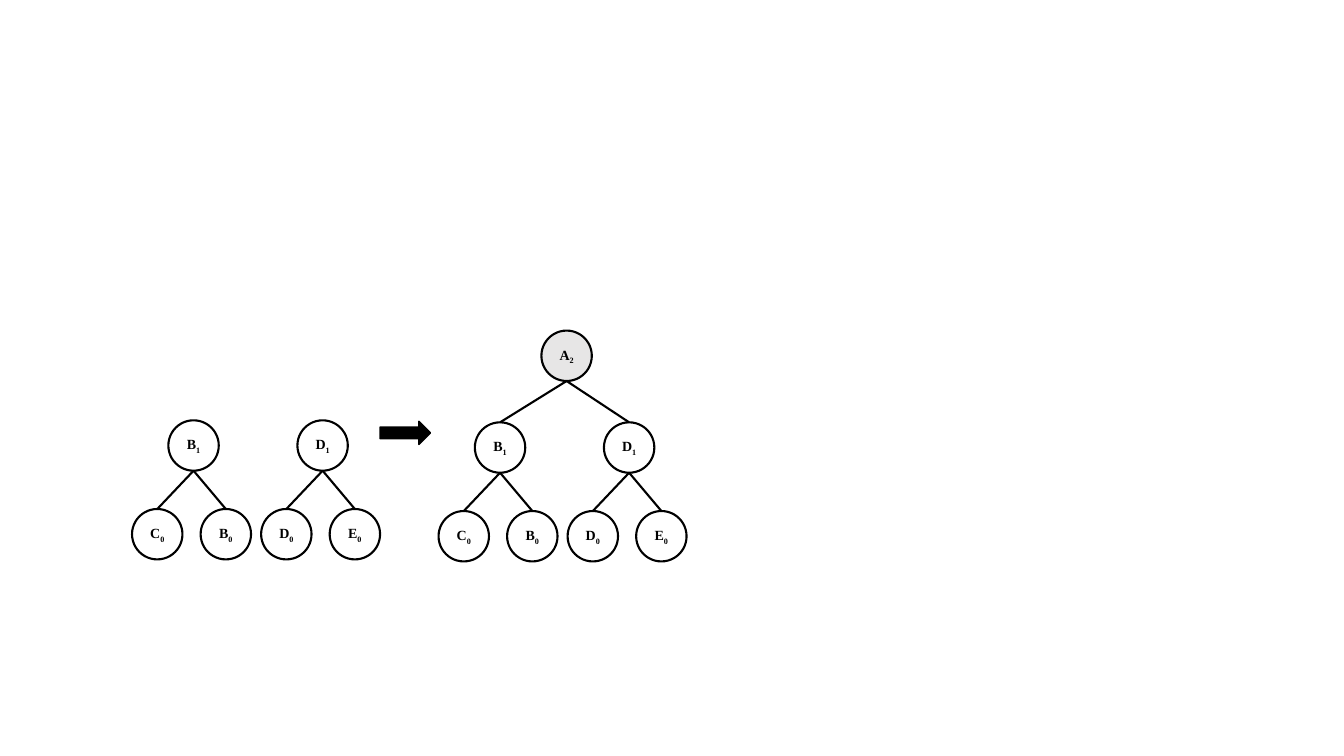
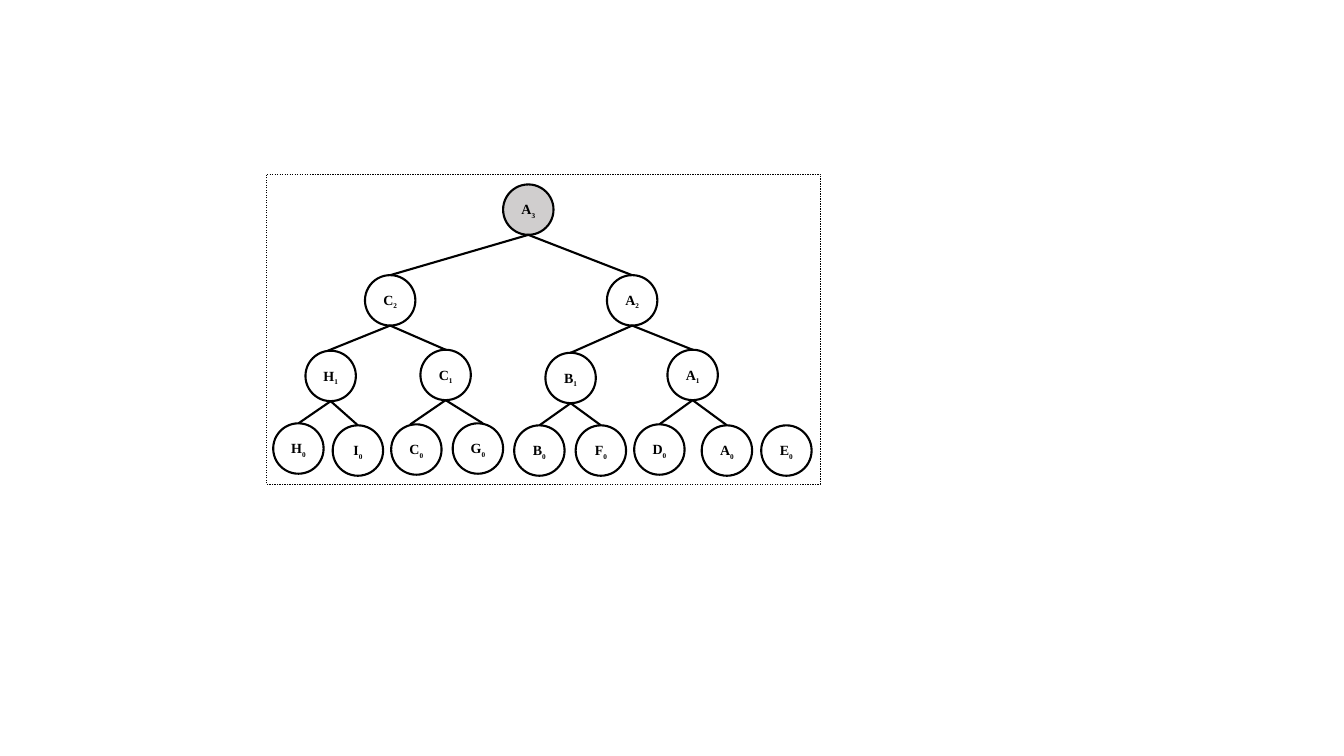
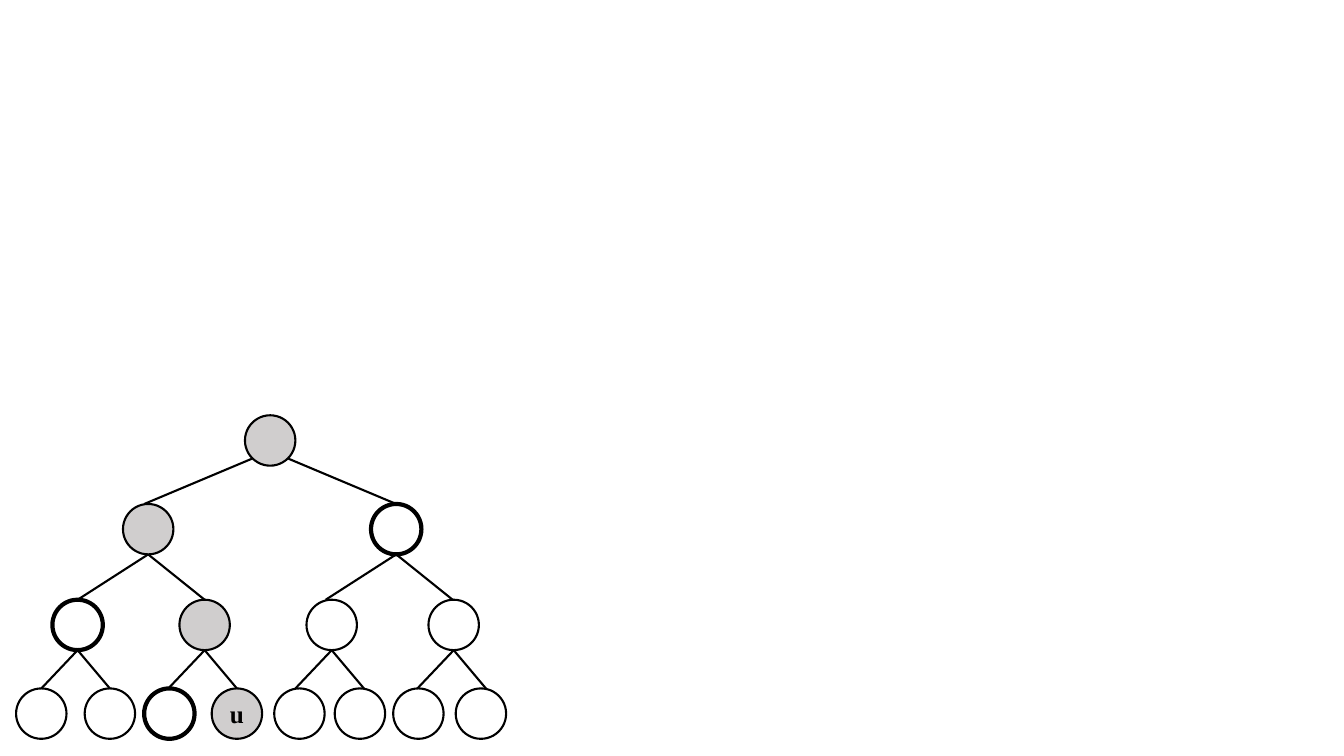
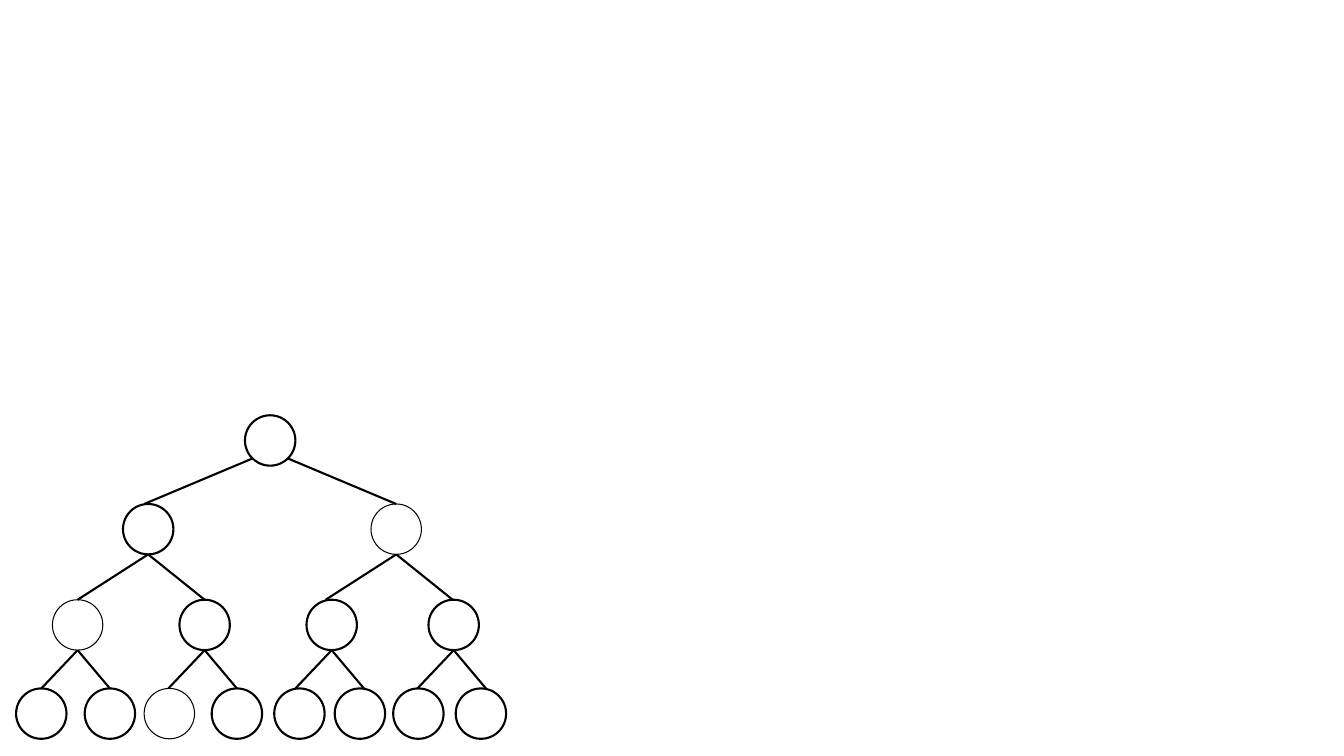
import pptx
import pptx.util
import pptx.dml.color
import pptx.enum.dml
import pptx.enum.shapes
import pptx.enum.text
import pptx.oxml.ns
import lxml.etree

SHAPE = pptx.enum.shapes.MSO_SHAPE
INCH = pptx.util.Inches

# Shared look
BLACK, WHITE, PALE, GREY = "000000", "FFFFFF", "E7E6E6", "D0CECE"
SIZE = 0.5
HALF = SIZE / 2
FONT = {"name": "Times New Roman", "bold": True}
TIGHT = {"margin_left": 0, "margin_right": 0, "margin_top": 0,
         "margin_bottom": 0, "word_wrap": False,
         "vertical_anchor": pptx.enum.text.MSO_ANCHOR.MIDDLE}
CENTRE = {"alignment": pptx.enum.text.PP_ALIGN.CENTER}
LOOSE = {"line_spacing": 1.07, "space_after": pptx.util.Pt(8)}

# Where edges end, left and right of a parent's centre
PAIR = (-0.36, 0.32)
DROP = 0.88

# Full tree: row centres, node centres and edge spreads from the root down
ROWS = (4.37, 5.25, 6.2, 7.08)
COLS = ((2.68,), (1.47, 3.93), (0.77, 2.03, 3.29, 4.5),
        (0.41, 1.09, 1.68, 2.35, 2.97, 3.57, 4.15, 4.77))
SPREADS = ((-1.25, 1.25), (-0.7, 0.56), PAIR)
ROUTE = {1, 2, 5, 11}
ASIDE = {3, 4, 10}

# Merged tree: name -> centre; edges as child, parent, lean at child
NODES = {
    "A3": (5.24, 2.08), "C2": (3.87, 2.98), "A2": (6.27, 2.98),
    "H1": (3.28, 3.73), "C1": (4.42, 3.72), "B1": (5.66, 3.75),
    "A1": (6.87, 3.72), "H0": (2.96, 4.45), "I0": (3.55, 4.47),
    "C0": (4.13, 4.46), "G0": (4.74, 4.45), "B0": (5.35, 4.47),
    "F0": (5.96, 4.47), "D0": (6.54, 4.46), "A0": (7.21, 4.47),
    "E0": (7.8, 4.47),
}
EDGES = (
    ("C2", "A3", 0), ("A2", "A3", 0), ("H1", "C2", -0.03), ("C1", "C2", 0),
    ("B1", "A2", 0), ("A1", "A2", 0), ("H0", "H1", 0), ("I0", "H1", 0),
    ("C0", "C1", -0.06), ("G0", "C1", 0.05), ("B0", "B1", 0),
    ("F0", "B1", 0), ("D0", "A1", 0), ("A0", "A1", 0),
)


def tint(code):
    return pptx.dml.color.RGBColor.from_string(code)


def style(item, *sets):
    for values in sets:
        for key, value in values.items():
            setattr(item, key, value)


def shape(slide, kind, box, fill=None, width=1.5):
    item = slide.shapes.add_shape(kind, *map(INCH, box))
    item.shadow.inherit = False
    if fill:
        item.fill.solid()
        item.fill.fore_color.rgb = tint(fill)
    else:
        item.fill.background()
    item.line.color.rgb = tint(BLACK)
    item.line.width = pptx.util.Pt(width)
    return item


def node(slide, x, y, text="", fill=None, width=1.5, size=10, small=10,
         para=None):
    """A circle around (x, y) with a letter and an optional subscript."""
    item = shape(slide, SHAPE.OVAL, (x - HALF, y - HALF, SIZE, SIZE),
                 fill, width)
    if not text:
        return
    frame = item.text_frame
    style(frame, TIGHT)
    line = frame.paragraphs[0]
    style(line, CENTRE, para or {})
    for place, sign in enumerate(text):
        run = line.add_run()
        run.text = sign
        style(run.font, FONT, {"size": pptx.util.Pt(small if place else size)})
        run.font.color.rgb = tint(BLACK)
        if place:
            run.font._element.set("baseline", "-25000")


def edge(slide, start, end):
    item = slide.shapes.add_connector(
        pptx.enum.shapes.MSO_CONNECTOR.STRAIGHT, *map(INCH, start + end))
    item.line.color.rgb = tint(BLACK)
    item.line.width = pptx.util.Pt(1.5)
    lxml.etree.SubElement(item._element.spPr,
                          pptx.oxml.ns.qn("a:effectLst"))


def trio(slide, x, y, names):
    """A parent and its two leaves."""
    node(slide, x, y, names[0])
    for shift, name in zip(PAIR, names[1:]):
        node(slide, x + shift, y + DROP, name)
        edge(slide, (x + shift, y + DROP - HALF), (x, y + HALF))


def join(slide):
    """Two small trees become one under a new root."""
    trees = (("B1", "C0", "B0"), ("D1", "D0", "E0"))
    for left, top in ((1.92, 4.42), (4.96, 4.44)):
        for place, names in enumerate(trees):
            trio(slide, left + 1.28 * place, top, names)
    shape(slide, SHAPE.RIGHT_ARROW, (3.77, 4.18, 0.5, 0.23), BLACK, 1)
    node(slide, 5.62, 3.53, "A2", PALE)
    for x in (4.96, 6.24):
        edge(slide, (x, 4.19), (5.62, 3.78))


def merge(slide):
    """The whole labelled tree in a dashed frame."""
    frame = shape(slide, SHAPE.RECTANGLE, (2.64, 1.73, 5.5, 3.07), width=0.25)
    frame.line.dash_style = pptx.enum.dml.MSO_LINE.DASH
    for name, (x, y) in NODES.items():
        node(slide, x, y, name, GREY if name == "A3" else WHITE,
             small=9, para=LOOSE)
    for child, top, lean in EDGES:
        x, y = NODES[child]
        far, high = NODES[top]
        edge(slide, (x + lean, y - HALF), (far, high + HALF))


def full(slide, fills, widths, texts):
    """A full tree; marks are keyed by node number, the root being 1."""
    for level, (y, cols) in enumerate(zip(ROWS, COLS)):
        for place, x in enumerate(cols):
            key = 2 ** level + place
            node(slide, x, y, texts.get(key, ""), fills.get(key),
                 widths.get(key, 1.5), size=18)
            if level == len(SPREADS):
                continue
            for shift in SPREADS[level]:
                # Root edges leave from the sides of the circle
                side = 0 if level else (0.18 if shift > 0 else -0.18)
                drop = HALF if level else 0.18
                edge(slide, (x + shift, ROWS[level + 1] - HALF),
                     (x + side, y + drop))


def main():
    deck = pptx.Presentation()
    style(deck, {"slide_width": INCH(13.33), "slide_height": INCH(7.5)})
    blank = deck.slide_layouts[6]
    join(deck.slides.add_slide(blank))
    merge(deck.slides.add_slide(blank))
    full(deck.slides.add_slide(blank), dict.fromkeys(ROUTE, GREY),
         dict.fromkeys(ASIDE, 3), {11: "u"})
    full(deck.slides.add_slide(blank), {}, dict.fromkeys(ASIDE, 0.75), {})
    deck.save("out.pptx")


if __name__ == "__main__":
    main()
